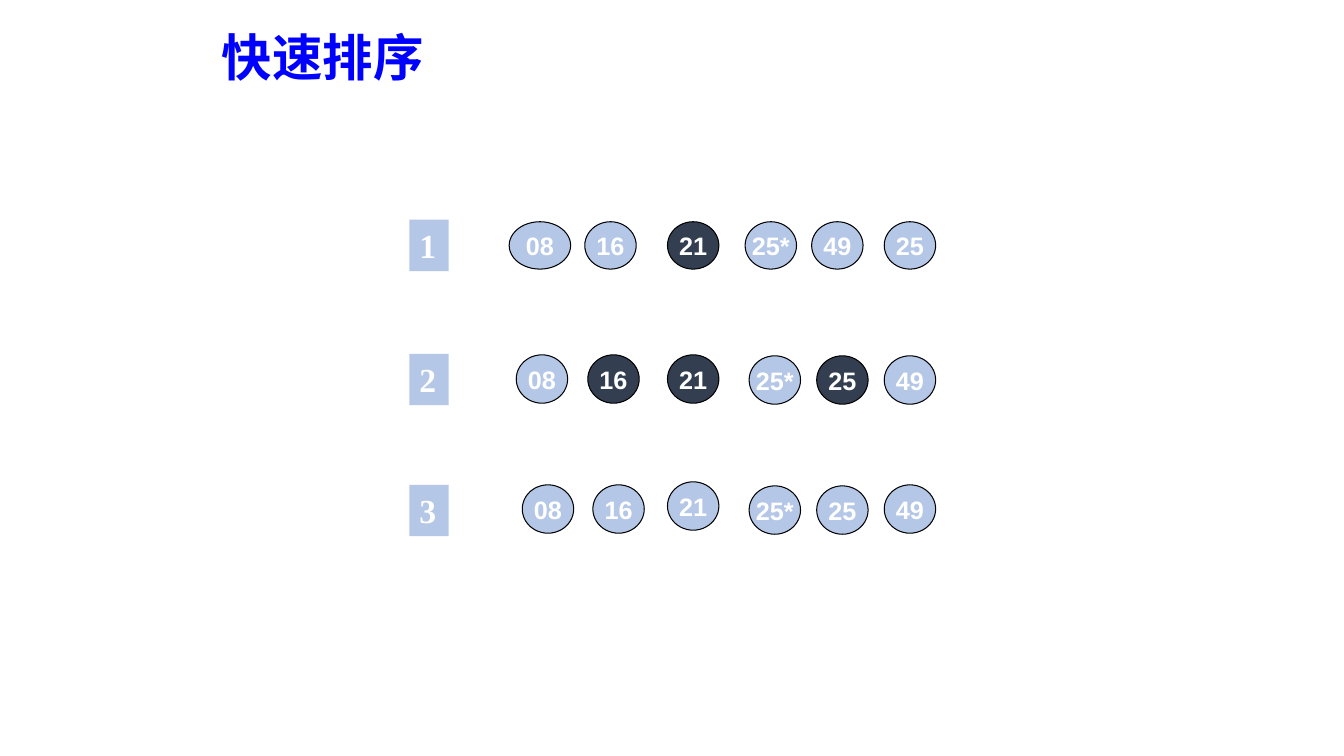
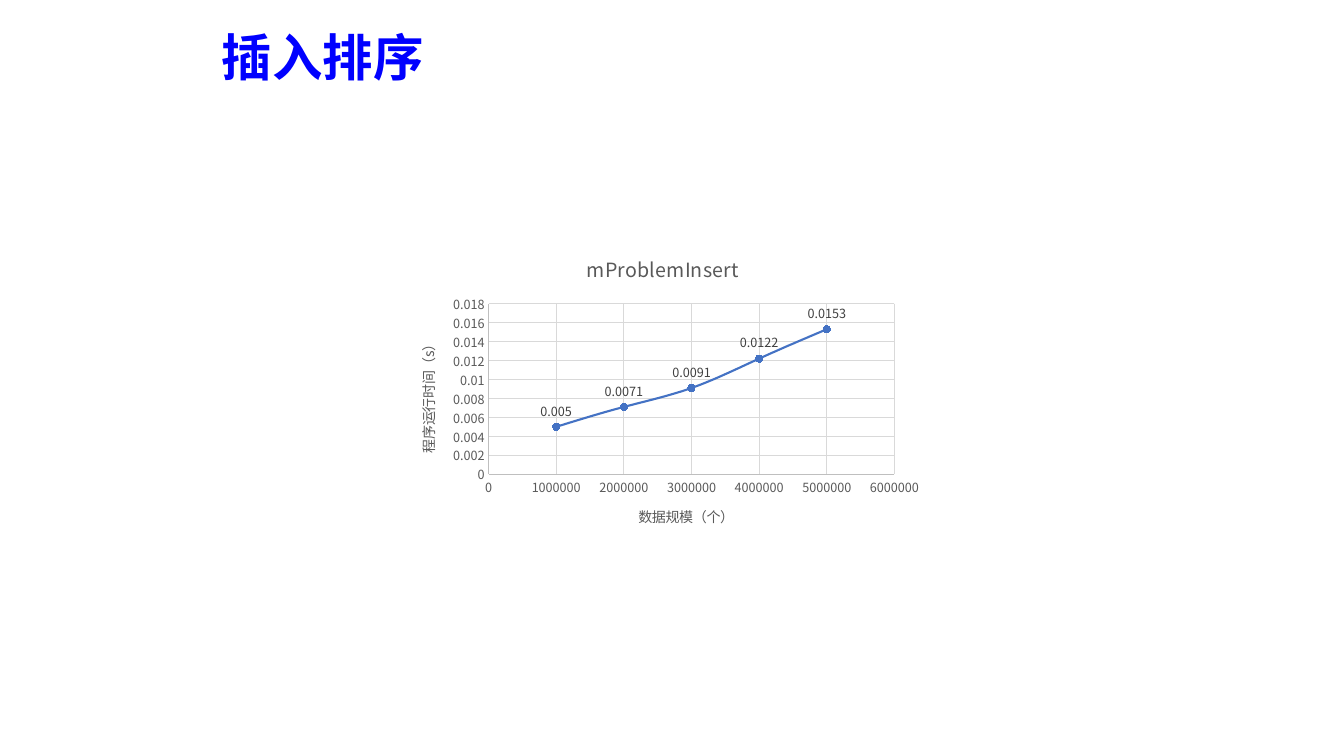
from dataclasses import dataclass

from lxml import etree
from pptx import Presentation
from pptx.chart.data import XyChartData
from pptx.chart.datalabel import DataLabels
from pptx.dml.color import RGBColor
from pptx.enum import chart as kinds, shapes, text
from pptx.oxml.ns import qn
from pptx.util import Inches, Pt


@dataclass(frozen=True)
class Theme:
    blue: str = "0000FF"
    pale: str = "B4C7E7"
    dark: str = "333F50"
    white: str = "FFFFFF"
    black: str = "000000"
    mark: str = "4472C4"
    gray: str = "595959"
    label: str = "404040"
    axis: str = "BFBFBF"
    grid: str = "D9D9D9"
    cjk: str = "Noto Sans CJK SC"
    sans: str = "Arial"
    serif: str = "Times New Roman"
    head: int = 36
    step: int = 24
    ball: int = 18
    name: int = 14
    unit: int = 10
    tick: int = 9


T = Theme()

ROWS = [
    ("1", 2.18, 0.47, [
        ("08", 5.05, 2.2), ("16", 5.8, 2.2), ("21", 6.62, 2.2),
        ("25*", 7.39, 2.2), ("49", 8.05, 2.2), ("25", 8.77, 2.2)], {"21"}),
    ("2", 3.51, 0.48, [
        ("08", 5.12, 3.52), ("16", 5.83, 3.52), ("21", 6.62, 3.52),
        ("25*", 7.43, 3.53), ("25", 8.1, 3.53), ("49", 8.77, 3.53)],
     {"16", "21", "25"}),
    ("3", 4.81, 0.48, [
        ("08", 5.18, 4.81), ("16", 5.88, 4.81), ("21", 6.62, 4.78),
        ("25*", 7.43, 4.82), ("25", 8.1, 4.82), ("49", 8.77, 4.81)], set()),
]
TIMES = [0.005, 0.0071, 0.0091, 0.0122, 0.0153]


def style(font, face, size, color, bold=False):
    font.name = face
    font.size = Pt(size)
    font.bold = bold
    font.color.rgb = RGBColor.from_string(color)


def set_asian(root):
    for latin in list(root.iter(qn("a:latin"))):
        asian = etree.Element(qn("a:ea"))
        asian.set("typeface", latin.get("typeface"))
        latin.addnext(asian)


def write(frame, words, *look):
    frame.text = words
    for run in frame.paragraphs[0].runs:
        style(run.font, *look)


def stroke(line, color, width):
    line.color.rgb = RGBColor.from_string(color)
    line.width = Pt(width)


def add_slide(deck, words):
    slide = deck.slides.add_slide(deck.slide_layouts[5])
    title = slide.shapes.title
    title.left, title.top = Inches(2.1), Inches(0.21)
    title.width, title.height = Inches(2.22), Inches(0.71)
    frame = title.text_frame
    write(frame, words, T.cjk, T.head, T.blue, True)
    frame.word_wrap = False
    frame.auto_size = text.MSO_AUTO_SIZE.SHAPE_TO_FIT_TEXT
    frame.vertical_anchor = text.MSO_ANCHOR.TOP
    frame.paragraphs[0].alignment = text.PP_ALIGN.LEFT
    set_asian(title.element)
    return slide


def add_block(slide, kind, box, fill, words, *look):
    shape = slide.shapes.add_shape(kind, *map(Inches, box))
    shape.shadow.inherit = False
    shape.fill.solid()
    shape.fill.fore_color.rgb = RGBColor.from_string(fill)
    write(shape.text_frame, words, *look, T.white, True)
    return shape


def add_step(slide, words, top):
    shape = add_block(slide, shapes.MSO_SHAPE.RECTANGLE,
                      (4.06, top, 0.39, 0.51), T.pale, words, T.serif, T.step)
    shape.line.fill.background()
    frame = shape.text_frame
    frame.vertical_anchor = text.MSO_ANCHOR.TOP
    frame.paragraphs[0].alignment = text.PP_ALIGN.LEFT


def add_ball(slide, words, box, dark):
    shape = add_block(slide, shapes.MSO_SHAPE.OVAL, box,
                      T.dark if dark else T.pale, words, T.sans, T.ball)
    stroke(shape.line, T.black, 0.75)
    frame = shape.text_frame
    frame.word_wrap = False
    frame.vertical_anchor = text.MSO_ANCHOR.MIDDLE
    frame.paragraphs[0].alignment = text.PP_ALIGN.CENTER


def format_axis(axis, words, top, unit):
    axis.minimum_scale, axis.maximum_scale = 0, top
    axis.major_unit = unit
    axis.major_tick_mark = kinds.XL_TICK_MARK.NONE
    axis.minor_tick_mark = kinds.XL_TICK_MARK.NONE
    axis.has_major_gridlines = True
    stroke(axis.major_gridlines.format.line, T.grid, 0.75)
    stroke(axis.format.line, T.axis, 0.75)
    style(axis.tick_labels.font, T.cjk, T.tick, T.gray)
    axis.tick_labels.number_format = "General"
    axis.tick_labels.number_format_is_linked = False
    write(axis.axis_title.text_frame, words, T.cjk, T.unit, T.gray)


def format_series(series):
    stroke(series.format.line, T.mark, 1.5)
    series.marker.style = kinds.XL_MARKER_STYLE.CIRCLE
    series.marker.size = 5
    fill = series.marker.format.fill
    fill.solid()
    fill.fore_color.rgb = RGBColor.from_string(T.mark)
    stroke(series.marker.format.line, T.mark, 0.75)
    node = series._element
    node.find(qn("c:smooth")).set("val", "1")
    labels = DataLabels(node.get_or_add_dLbls())
    labels.show_value = True
    labels.position = kinds.XL_LABEL_POSITION.ABOVE
    style(labels.font, T.cjk, T.tick, T.label)


def add_curve(slide):
    data = XyChartData()
    points = data.add_series("Series 1")
    for count, time in enumerate(TIMES, 1):
        points.add_data_point(count * 1000000, time)
    box = map(Inches, (3.93, 2.35, 5.29, 3.08))
    chart = slide.shapes.add_chart(
        kinds.XL_CHART_TYPE.XY_SCATTER_SMOOTH, *box, data).chart
    style(chart.font, T.cjk, T.unit, T.black)
    chart.has_legend = False
    write(chart.chart_title.text_frame, "mProblemInsert",
          T.cjk, T.name, T.gray)
    format_axis(chart.category_axis, "数据规模（个）", 6000000, 1000000)
    format_axis(chart.value_axis, "程序运行时间（s）", 0.018, 0.002)
    body = chart.value_axis.axis_title.text_frame._txBody.bodyPr
    body.set("rot", "-5400000")
    body.set("vert", "horz")
    plot = chart.plots[0]
    plot.vary_by_categories = False
    format_series(plot.series[0])
    set_asian(chart.element if hasattr(chart, "element") else chart._chartSpace)


def main():
    deck = Presentation()
    deck.slide_width, deck.slide_height = Inches(13.33), Inches(7.5)
    quick = add_slide(deck, "快速排序")
    for step, top, height, balls, pivots in ROWS:
        add_step(quick, step, top)
        for words, left, high in balls:
            width = 0.61 if (step, words) == ("1", "08") else 0.51
            add_ball(quick, words, (left, high, width, height),
                     words in pivots)
    add_curve(add_slide(deck, "插入排序"))
    deck.save("out.pptx")


if __name__ == "__main__":
    main()
